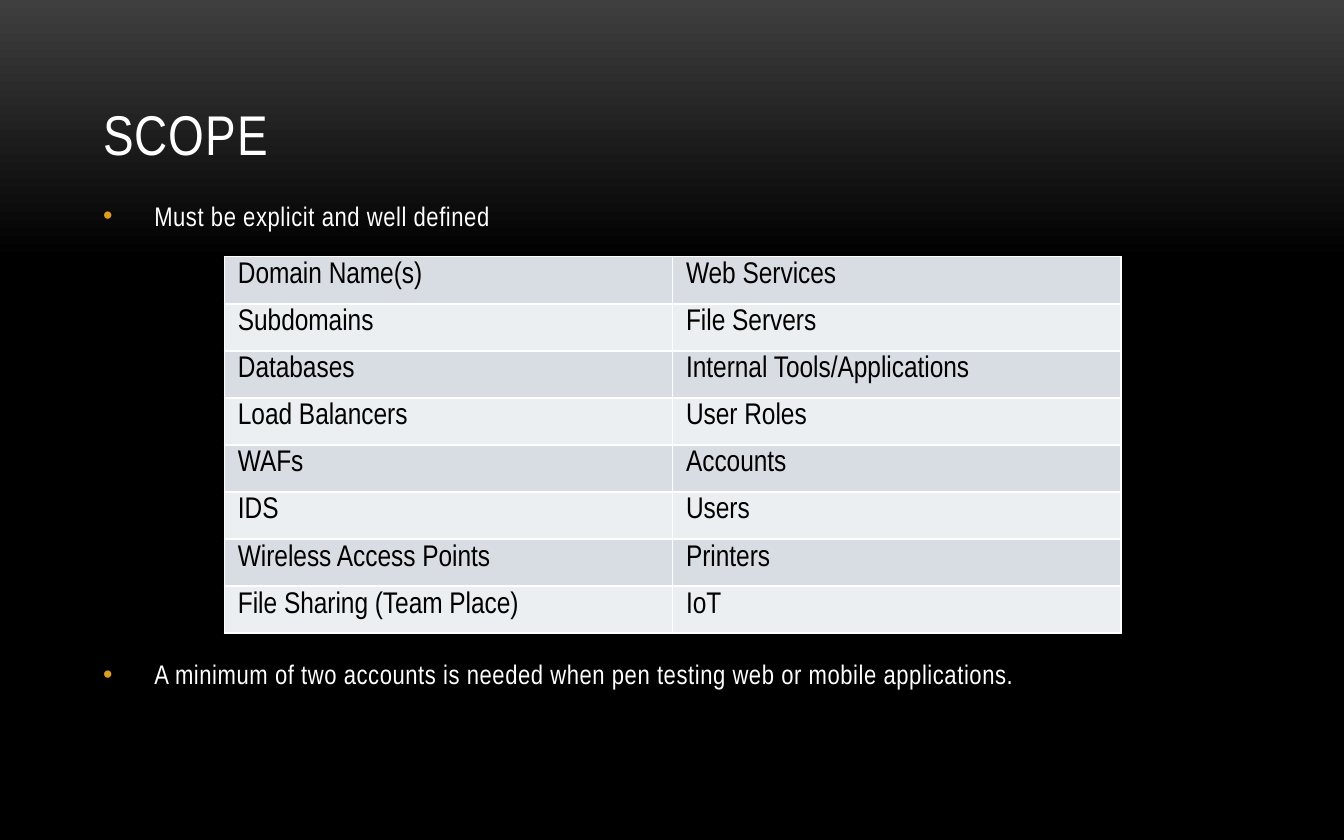
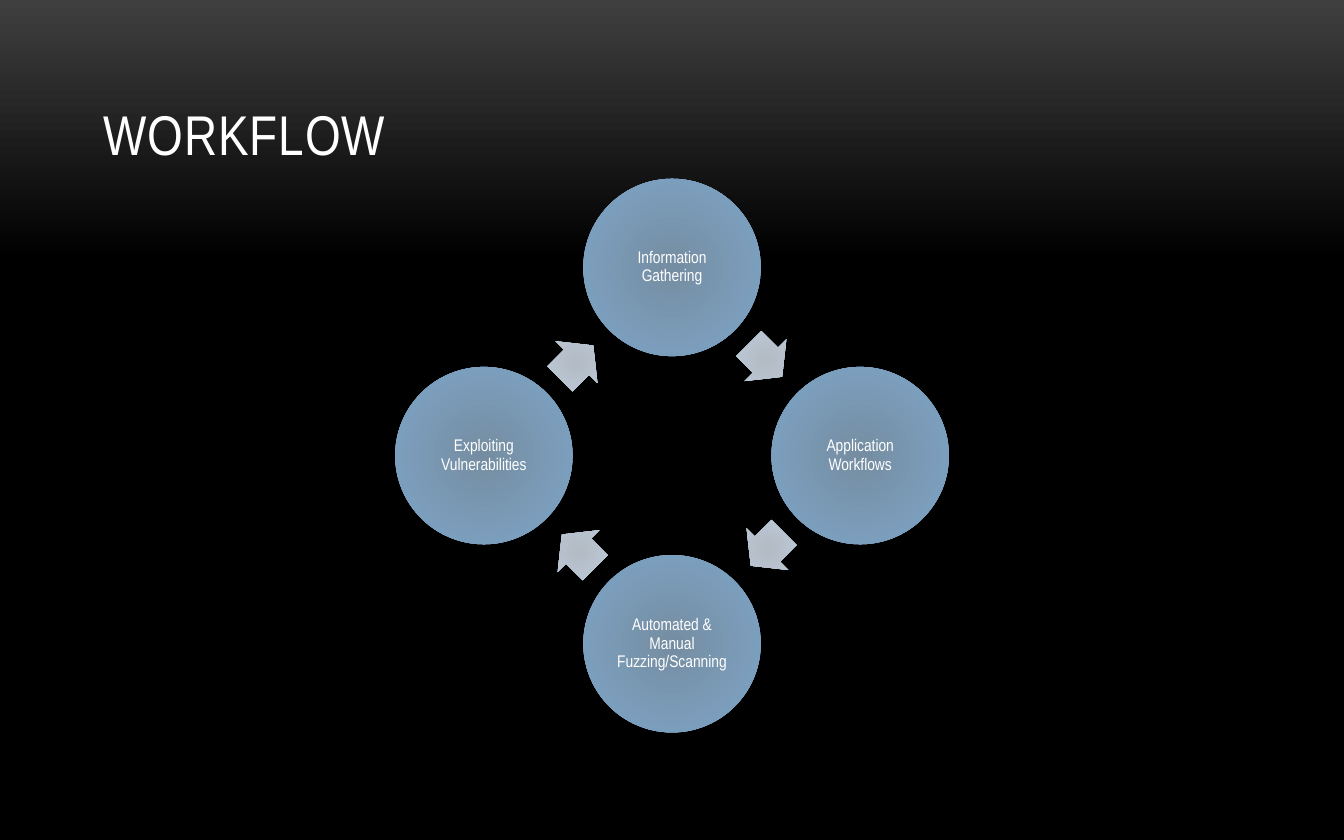
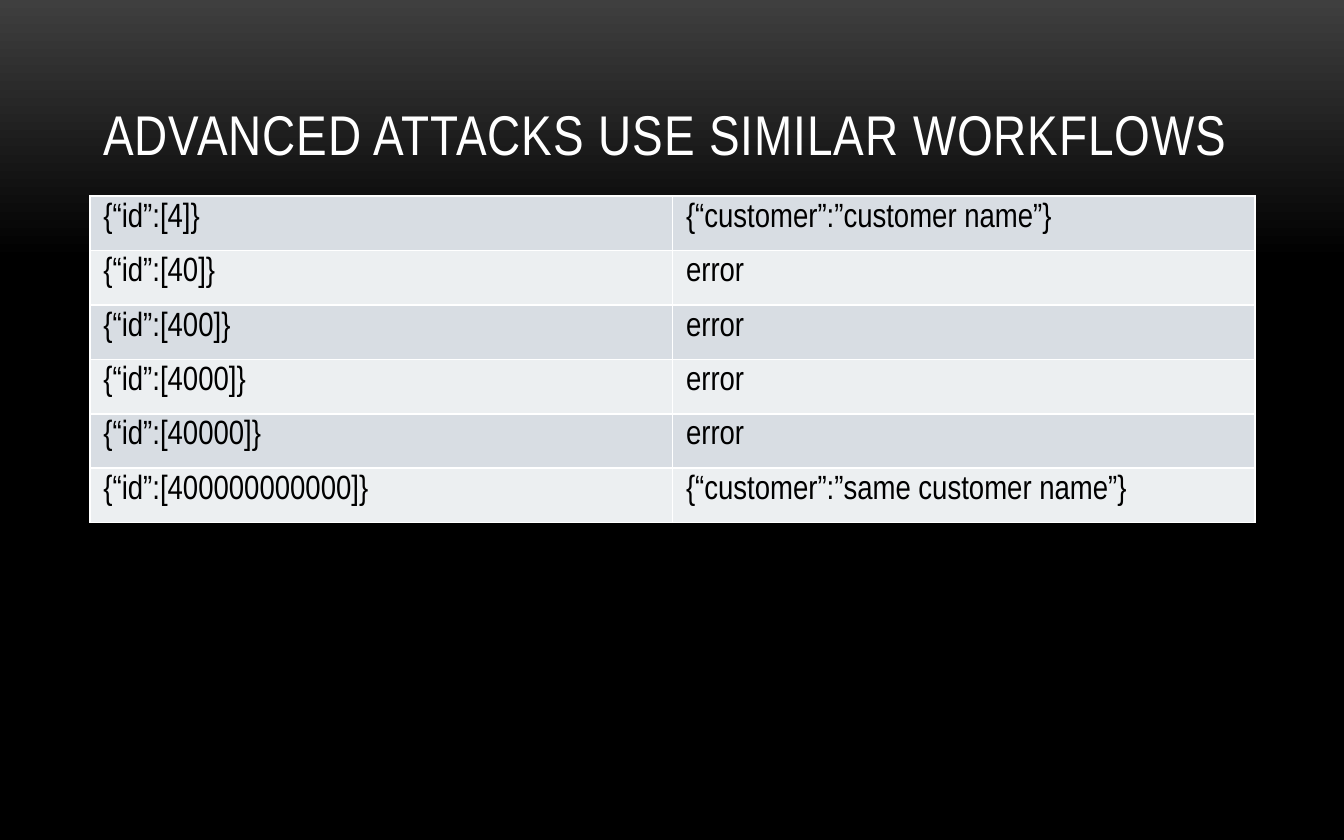
"""Build three slides on penetration test scope, workflow and similar attacks."""
import math

import pptx
import pptx.dml.color
import pptx.enum.shapes
import pptx.enum.text
import pptx.oxml
import pptx.oxml.ns
import pptx.util

Inches = pptx.util.Inches
Pt = pptx.util.Pt
RGBColor = pptx.dml.color.RGBColor
Shape = pptx.enum.shapes.MSO_SHAPE
Anchor = pptx.enum.text.MSO_ANCHOR
Align = pptx.enum.text.PP_ALIGN

WHITE = RGBColor(0xFF, 0xFF, 0xFF)
BLACK = RGBColor(0x00, 0x00, 0x00)
CHARCOAL = RGBColor(0x3F, 0x3F, 0x3F)
GOLD = RGBColor(0xDC, 0x9E, 0x1F)
BANDS = (RGBColor(0xD8, 0xDD, 0xE3), RGBColor(0xEC, 0xEF, 0xF1))
STEP_STOPS = ((0, RGBColor(0x75, 0x8D, 0xA1)), (100, RGBColor(0x7F, 0xA6, 0xCA)))
ARROW_STOPS = ((0, RGBColor(0xB3, 0xBB, 0xC4)), (100, RGBColor(0xBF, 0xCF, 0xE0)))
BACKGROUND_STOPS = ((0, CHARCOAL), (31, BLACK), (100, BLACK))

FONT = "Arial Narrow"
LEFT, CONTENT_TOP, CONTENT_WIDTH = 0.67, 1.46, 8.67
DOWNWARD = '<a:lin {ns} ang="5400000" scaled="0"/>'
RADIAL = ('<a:path {ns} path="circle"><a:fillToRect l="100000" t="100000" '
          'r="100000" b="100000"/></a:path>')

SCOPE_ROWS = (
    ("Domain Name(s)", "Web Services"),
    ("Subdomains", "File Servers"),
    ("Databases", "Internal Tools/Applications"),
    ("Load Balancers", "User Roles"),
    ("WAFs", "Accounts"),
    ("IDS", "Users"),
    ("Wireless Access Points", "Printers"),
    ("File Sharing (Team Place)", "IoT"),
)
ATTACK_ROWS = (
    ("{“id”:[4]}", "{“customer”:”customer name”}"),
    ("{“id”:[40]}", "error"),
    ("{“id”:[400]}", "error"),
    ("{“id”:[4000]}", "error"),
    ("{“id”:[40000]}", "error"),
    ("{“id”:[400000000000]}", "{“customer”:”same customer name”}"),
)
STEPS = ("Information Gathering", "Application Workflows",
         "Automated & Manual Fuzzing/Scanning", "Exploiting Vulnerabilities")


def apply(target, values):
    for name, value in values.items():
        setattr(target, name, value)


def add_xml(parent, markup):
    namespace = pptx.oxml.ns.nsdecls("a")
    parent.append(pptx.oxml.parse_xml(markup.replace("{ns}", namespace)))


def write(para, text, size, color, spacing=0):
    span = para.add_run()
    span.text = text
    apply(span.font, {"name": FONT, "size": Pt(size)})
    span.font.color.rgb = color
    if spacing:
        span._r.get_or_add_rPr().set("spc", str(round(spacing * 100)))


def paint_gradient(fill, owner, stops, direction):
    fill.gradient()
    gradient = owner.element.find(".//" + pptx.oxml.ns.qn("a:gradFill"))
    for child in list(gradient):
        gradient.remove(child)
    marks = "".join(f'<a:gs pos="{place * 1000}"><a:srgbClr val="{color}"/></a:gs>'
                    for place, color in stops)
    add_xml(gradient, "<a:gsLst {ns}>" + marks + "</a:gsLst>")
    add_xml(gradient, direction)


def add_page(deck, heading):
    page = deck.slides.add_slide(deck.slide_layouts[5])
    title = page.shapes.title
    apply(title, {"left": Inches(LEFT), "top": Inches(0.25),
                  "width": Inches(CONTENT_WIDTH), "height": Inches(1.04)})
    apply(title.text_frame, {"vertical_anchor": Anchor.BOTTOM, "word_wrap": True,
                             "auto_size": pptx.enum.text.MSO_AUTO_SIZE.NONE})
    para = title.text_frame.paragraphs[0]
    para.alignment = Align.LEFT
    write(para, heading, 30, WHITE, 0.5)
    return page


def add_bullets(page, texts, gap):
    box = page.shapes.add_textbox(Inches(LEFT), Inches(CONTENT_TOP),
                                  Inches(CONTENT_WIDTH), Inches(3.75))
    frame = box.text_frame
    frame.word_wrap = True
    for index, text in enumerate(texts):
        para = frame.add_paragraph() if index else frame.paragraphs[0]
        apply(para, {"line_spacing": 0.9, "space_after": Pt(6),
                     "space_before": Pt(gap if index else 0)})
        properties = para._p.get_or_add_pPr()
        properties.set("marL", str(Inches(0.38)))
        properties.set("indent", str(-Inches(0.38)))
        add_xml(properties, f'<a:buClr {{ns}}><a:srgbClr val="{GOLD}"/></a:buClr>')
        add_xml(properties, '<a:buFont {ns} typeface="Arial"/>')
        add_xml(properties, '<a:buChar {ns} char="•"/>')
        write(para, text, 14.4, WHITE, 0.3)


def format_cell(cell, text, size, margin, band):
    properties = cell._tc.get_or_add_tcPr()
    for side in "LRTB":
        add_xml(properties, f'<a:ln{side} {{ns}} w="{Pt(1)}"><a:solidFill>'
                            f'<a:srgbClr val="{WHITE}"/></a:solidFill></a:ln{side}>')
    cell.fill.solid()
    cell.fill.fore_color.rgb = band
    apply(cell, {"margin_left": Inches(0.1), "margin_right": Inches(0.1),
                 "margin_top": Inches(margin), "margin_bottom": Inches(margin)})
    write(cell.text_frame.paragraphs[0], text, size, BLACK)


def add_grid(page, rows, place, size, margin):
    frame = page.shapes.add_table(len(rows), len(rows[0]), *map(Inches, place))
    apply(frame.table, {"first_row": False, "horz_banding": False})
    for row_index, row in enumerate(rows):
        for column_index, text in enumerate(row):
            format_cell(frame.table.cell(row_index, column_index), text, size,
                        margin, BANDS[row_index % 2])


def add_gradient_shape(page, kind, center, size, stops):
    (x, y), (width, height) = center, size
    shape = page.shapes.add_shape(kind, Inches(x - width / 2), Inches(y - height / 2),
                                  Inches(width), Inches(height))
    shape.shadow.inherit = False
    shape.line.fill.background()
    paint_gradient(shape.fill, shape, stops, RADIAL)
    return shape


def add_step(page, center, text):
    step = add_gradient_shape(page, Shape.OVAL, center, (1.32, 1.32), STEP_STOPS)
    frame = step.text_frame
    margins = ("margin_left", "margin_top", "margin_right", "margin_bottom")
    apply(frame, dict.fromkeys(margins, Inches(0.01)))
    apply(frame, {"word_wrap": True, "vertical_anchor": Anchor.MIDDLE})
    para = frame.paragraphs[0]
    apply(para, {"alignment": Align.CENTER, "line_spacing": 0.9})
    write(para, text, 9, WHITE)


def add_cycle(page, steps, center, radius):
    def around(degrees, distance):
        angle = math.radians(degrees)
        return (center[0] + distance * math.cos(angle),
                center[1] + distance * math.sin(angle))

    turn = 360 / len(steps)
    for index, text in enumerate(steps):
        heading = index * turn
        add_step(page, around(heading - 90, radius), text)
        arrow = add_gradient_shape(page, Shape.RIGHT_ARROW,
                                   around(heading - 45.6, radius * 0.71),
                                   (0.35, 0.44), ARROW_STOPS)
        arrow.adjustments[0] = 0.6
        arrow.adjustments[1] = 0.5
        arrow.rotation = heading + turn / 2


def main():
    deck = pptx.Presentation()
    apply(deck, {"slide_width": Inches(10), "slide_height": Inches(6.25)})
    master = deck.slide_master
    paint_gradient(master.background.fill, master, BACKGROUND_STOPS, DOWNWARD)

    scope = add_page(deck, "SCOPE")
    add_bullets(scope, ("Must be explicit and well defined",
                        "A minimum of two accounts is needed when pen testing "
                        "web or mobile applications."), 224)
    add_grid(scope, SCOPE_ROWS, (1.67, 1.91, 6.67, 2.8), 16, 0.04)

    workflow = add_page(deck, "WORKFLOW")
    add_cycle(workflow, STEPS, (5, 3.39), 1.4)

    attacks = add_page(deck, "ADVANCED ATTACKS USE SIMILAR WORKFLOWS")
    add_grid(attacks, ATTACK_ROWS, (LEFT, CONTENT_TOP, CONTENT_WIDTH, 2.43), 18, 0.05)

    deck.save("out.pptx")


if __name__ == "__main__":
    main()
